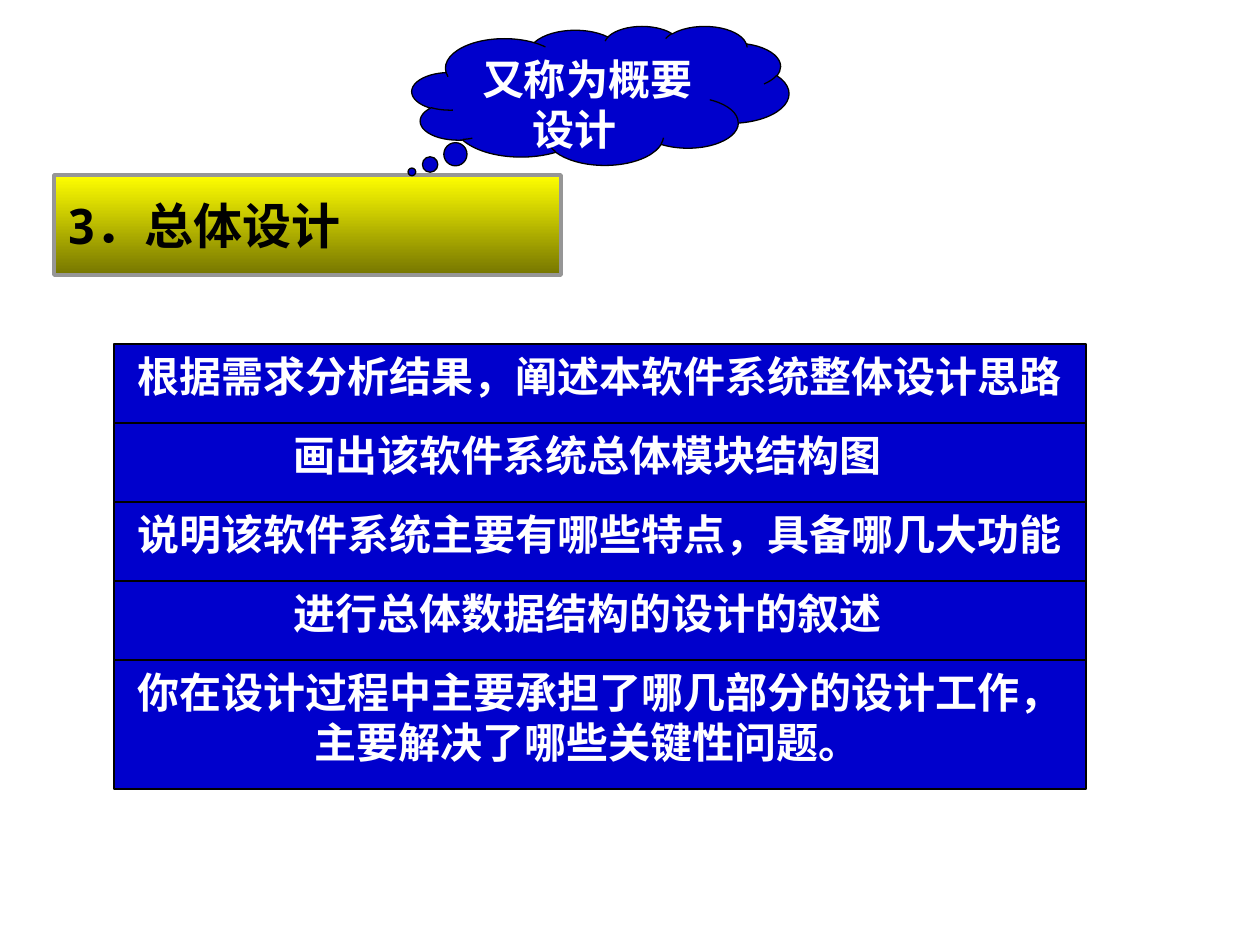
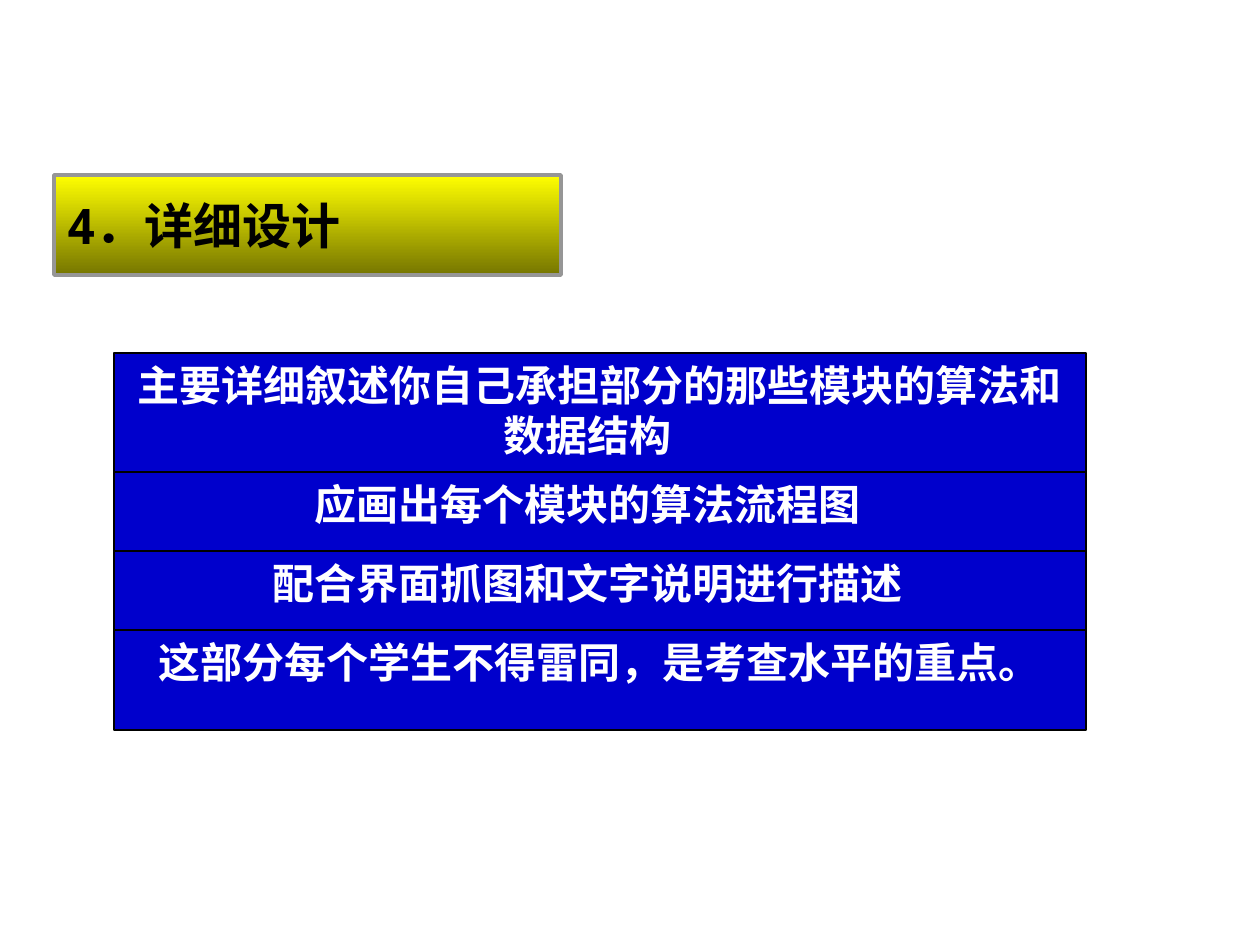
from lxml import etree
from pptx import Presentation
from pptx.dml.color import RGBColor
from pptx.enum.shapes import MSO_SHAPE
from pptx.enum.text import MSO_ANCHOR, MSO_AUTO_SIZE, PP_ALIGN
from pptx.oxml.ns import qn
from pptx.util import Emu, Inches, Pt

PX = Inches(1) / 126
FONT = "Noto Sans Mono"
COLORS = {
    "yellow": "FFFF00",
    "olive": "767600",
    "gray": "969696",
    "blue": "0000CC",
    "black": "000000",
    "white": "FFFFFF",
}
RECT = MSO_SHAPE.RECTANGLE
CLOUD = MSO_SHAPE.CLOUD_CALLOUT
LEFT, CENTER = PP_ALIGN.LEFT, PP_ALIGN.CENTER
TOP, MIDDLE = MSO_ANCHOR.TOP, MSO_ANCHOR.MIDDLE
NO_AUTOFIT = MSO_AUTO_SIZE.NONE
TITLE_ONLY = 5
ROW_LEFT, ROW_WIDTH, ROW_HEIGHT = 114, 972, 79

OVERALL_ROWS = [
    ("根据需求分析结果，阐述本软件系统整体设计思路 ", ROW_HEIGHT),
    ("画出该软件系统总体模块结构图 ", ROW_HEIGHT),
    ("说明该软件系统主要有哪些特点，具备哪几大功能 ", ROW_HEIGHT),
    ("进行总体数据结构的设计的叙述 ", ROW_HEIGHT),
    ("你在设计过程中主要承担了哪几部分的设计工作，主要解决了哪些关键性问题。 ", 129),
]
DETAIL_ROWS = [
    ("主要详细叙述你自己承担部分的那些模块的算法和数据结构 ", 119),
    ("应画出每个模块的算法流程图 ", ROW_HEIGHT),
    ("配合界面抓图和文字说明进行描述 ", ROW_HEIGHT),
    ("这部分每个学生不得雷同，是考查水平的重点。", 100),
]


def px(n):
    return Emu(round(n * PX))


def rgb(name):
    return RGBColor.from_string(COLORS[name])


def set_line(s, color, width):
    s.line.color.rgb = rgb(color)
    s.line.width = Pt(width)


def set_text(s, text, size=24, color="white", align=CENTER, anchor=TOP, wrap=True):
    tf = s.text_frame
    tf.auto_size = NO_AUTOFIT
    tf.word_wrap = wrap
    tf.vertical_anchor = anchor
    tf.margin_left = tf.margin_right = Inches(0.1)
    tf.margin_top = tf.margin_bottom = Inches(0.05)
    p = tf.paragraphs[0]
    p.alignment = align
    r = p.add_run()
    r.text = text
    r.font.size = Pt(size)
    r.font.bold = True
    r.font.color.rgb = rgb(color)
    r.font.name = FONT
    etree.SubElement(r.font._element, qn("a:ea"), typeface=FONT)


def add_title(slide, text):
    s = slide.shapes.title
    s.left, s.top, s.width, s.height = px(54), px(175), px(507), px(100)
    s.fill.gradient()
    s.fill.gradient_angle = 270
    for stop, color, position in zip(s.fill.gradient_stops, ("yellow", "olive"), (0, 1)):
        stop.color.rgb = rgb(color)
        stop.position = position
    set_line(s, "gray", 2.25)
    set_text(s, text, size=28, color="black", align=LEFT, anchor=MIDDLE, wrap=False)


def add_blue_shape(slide, kind, left, top, width, height, text):
    s = slide.shapes.add_shape(kind, px(left), px(top), px(width), px(height))
    s.shadow.inherit = False
    s.fill.solid()
    s.fill.fore_color.rgb = rgb("blue")
    set_line(s, "black", 0.75)
    set_text(s, text)
    return s


def add_cloud(slide, text):
    s = add_blue_shape(slide, CLOUD, 412, 26, 377, 139, text)
    s.adjustments[0] = -0.5
    s.adjustments[1] = 0.55


def add_rows(slide, top, rows):
    for text, height in rows:
        add_blue_shape(slide, RECT, ROW_LEFT, top, ROW_WIDTH, height, text)
        top += height


def add_section(prs, title, top, rows):
    slide = prs.slides.add_slide(prs.slide_layouts[TITLE_ONLY])
    add_title(slide, title)
    add_rows(slide, top, rows)
    return slide


def main():
    prs = Presentation()
    prs.slide_width, prs.slide_height = Inches(10), Inches(7.5)
    overall = add_section(prs, "3．总体设计", 344, OVERALL_ROWS)
    add_cloud(overall, "又称为概要设计 ")
    add_section(prs, "4．详细设计", 353, DETAIL_ROWS)
    prs.save("out.pptx")


if __name__ == "__main__":
    main()
